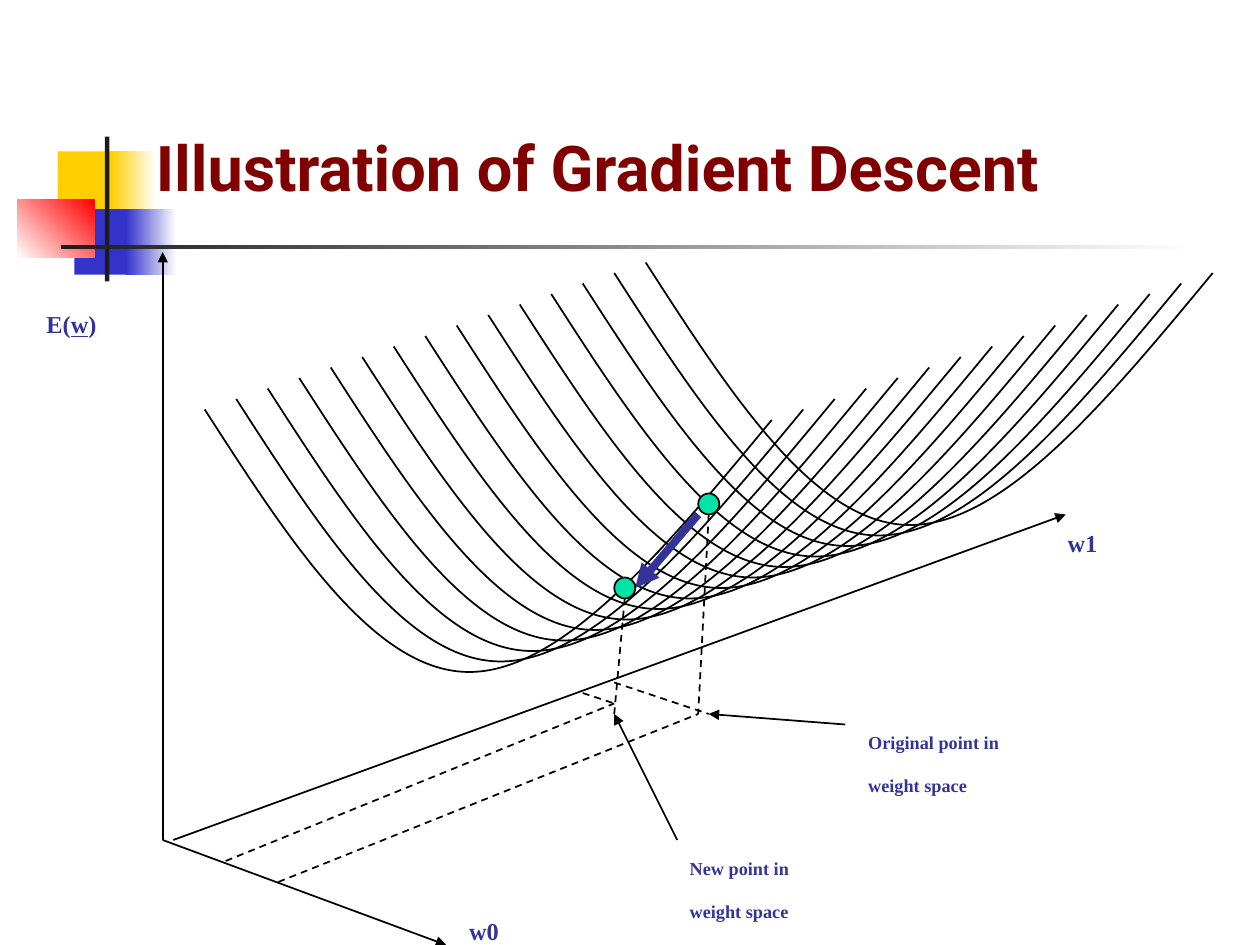
from lxml.etree import SubElement as Sub
from pptx import Presentation
from pptx.dml.color import RGBColor as RGB
from pptx.enum.dml import MSO_LINE as Dash
from pptx.enum.shapes import MSO_CONNECTOR as Link, MSO_SHAPE as Kind
from pptx.enum.text import MSO_ANCHOR as Anchor, MSO_AUTO_SIZE as Fit
from pptx.oxml.ns import qn
from pptx.util import Pt

BLACK, WHITE, NAVY = "000000", "FFFFFF", "333399"
GOLD, BLUE, RED, DARK = "FFCF01", "3333CC", "FF0000", "1C1C1C"
SERIF = "Times New Roman"

BLOCKS = [
    ((33, 86.5, 34.5, 37.5), [GOLD], 0),
    ((63.3, 86.5, 26, 37.5), [GOLD, WHITE], 0),
    ((42.5, 119.5, 33, 37.5), [BLUE], 0),
    ((72, 119.5, 28.7, 37.5), [BLUE, WHITE], 0),
    ((9.8, 113.8, 44.2, 33.3), [WHITE, RED], 45),
    ((60, 78, 2.5, 82.8), [DARK], 0),
    ((34.6, 140, 648, 2.5), [DARK, WHITE], 0),
]
TITLE = "Illustration of Gradient Descent"
START, STEP, COUNT = (117, 234), (18, -6), 15
CURVE = [(0, 0), (48, 74.5), (96, 149), (150, 150),
         (204, 151), (264, 78.5), (324, 6)]
AXES = [(93, 480, 93, 144), (93, 480, 255, 540), (99, 480, 609, 294)]
GUIDES = [
    (159, 504, 399, 408), (351, 390, 405, 408), (405, 294, 399, 408),
    (357, 342, 351, 408), (333, 396, 351, 402), (129, 492, 351, 402),
]
NOTES = [(483, 414, 405, 408), (387, 480, 351, 408)]
MOVE = (399, 294, 363, 336)
DOTS = [(399, 282, 12, 12), (351, 330, 12, 12)]
LABELS = [
    ((603, 282, 39.6, 36), 24, [["w1"]]),
    ((261, 504, 39.6, 36), 24, [["w0"]]),
    ((19.5, 157, 64, 36), 24, [["E(", "w", ")"]]),
    ((489, 402, 143.3, 50.4), 18, [["Original point in"], ["weight space"]]),
    ((387, 474, 112.3, 50.4), 18, [["New point in"], ["weight space"]]),
]

deck = Presentation()
deck.slide_width, deck.slide_height = Pt(720), Pt(540)
slide = deck.slides.add_slide(deck.slide_layouts[6])
shapes = slide.shapes


def paint(color, code):
    color.rgb = RGB.from_string(code)


def ink(line, code=BLACK, width=1):
    line.fill.solid()
    paint(line.fill.fore_color, code)
    line.width = Pt(width)


def block(kind, box, codes, angle=0):
    item = shapes.add_shape(kind, *map(Pt, box))
    item.shadow.inherit = False
    if len(codes) == 1:
        item.fill.solid()
        paint(item.fill.fore_color, codes[0])
    else:
        item.fill.gradient()
        item.fill.gradient_angle = angle
        for stop, code in zip(item.fill.gradient_stops, codes):
            paint(stop.color, code)
    item.line.fill.background()
    return item


def link(ends, code=BLACK, width=1, head=False, dash=False):
    item = shapes.add_connector(Link.STRAIGHT, *map(Pt, ends))
    ink(item.line, code, width)
    if dash:
        item.line.dash_style = Dash.DASH
    if head:
        Sub(item.line._get_or_add_ln(), qn("a:tailEnd"), type="triangle")
    Sub(item._element.spPr, qn("a:effectLst"))


def curve(left, top):
    first, *rest = [(Pt(left + x), Pt(top + y)) for x, y in CURVE]
    form = shapes.build_freeform(*first)
    form.add_line_segments(rest, close=False)
    item = form.convert_to_shape()
    item.shadow.inherit = False
    item.fill.background()
    ink(item.line)
    track = next(item._element.iter(qn("a:path")))
    parts = track.findall(qn("a:lnTo"))
    for i in range(0, len(parts), 3):
        bend = Sub(track, qn("a:cubicBezTo"))
        for part in parts[i:i + 3]:
            bend.append(part[0])
            track.remove(part)


def write(para, text, size, face, code):
    run = para.add_run()
    run.text = text
    font = run.font
    font.size, font.name, font.bold = Pt(size), face, True
    paint(font.color, code)
    return run


def label(box, size, lines):
    frame = shapes.add_textbox(*map(Pt, box)).text_frame
    frame.word_wrap = False
    frame.auto_size = Fit.SHAPE_TO_FIT_TEXT
    for i, texts in enumerate(lines):
        para = frame.add_paragraph() if i else frame.paragraphs[0]
        for text in texts:
            run = write(para, text, size, SERIF, NAVY)
            run.font.underline = text == "w"
            run._r.get_or_add_rPr().set("baseline", "-25000")


for box, codes, angle in BLOCKS:
    block(Kind.RECTANGLE, box, codes, angle)

frame = shapes.add_textbox(Pt(82), Pt(37.5), Pt(613.5), Pt(115)).text_frame
frame.word_wrap = True
frame.vertical_anchor = Anchor.MIDDLE
write(frame.paragraphs[0], TITLE, 36, "Roboto", "800000")

for i in range(COUNT):
    curve(START[0] + i * STEP[0], START[1] + i * STEP[1])
for ends in AXES + NOTES:
    link(ends, head=True)
for ends in GUIDES:
    link(ends, dash=True)
link(MOVE, NAVY, 4.5, head=True)
for box in DOTS:
    ink(block(Kind.OVAL, box, ["00E4A8"]).line)
for item in LABELS:
    label(*item)

deck.save("out.pptx")
